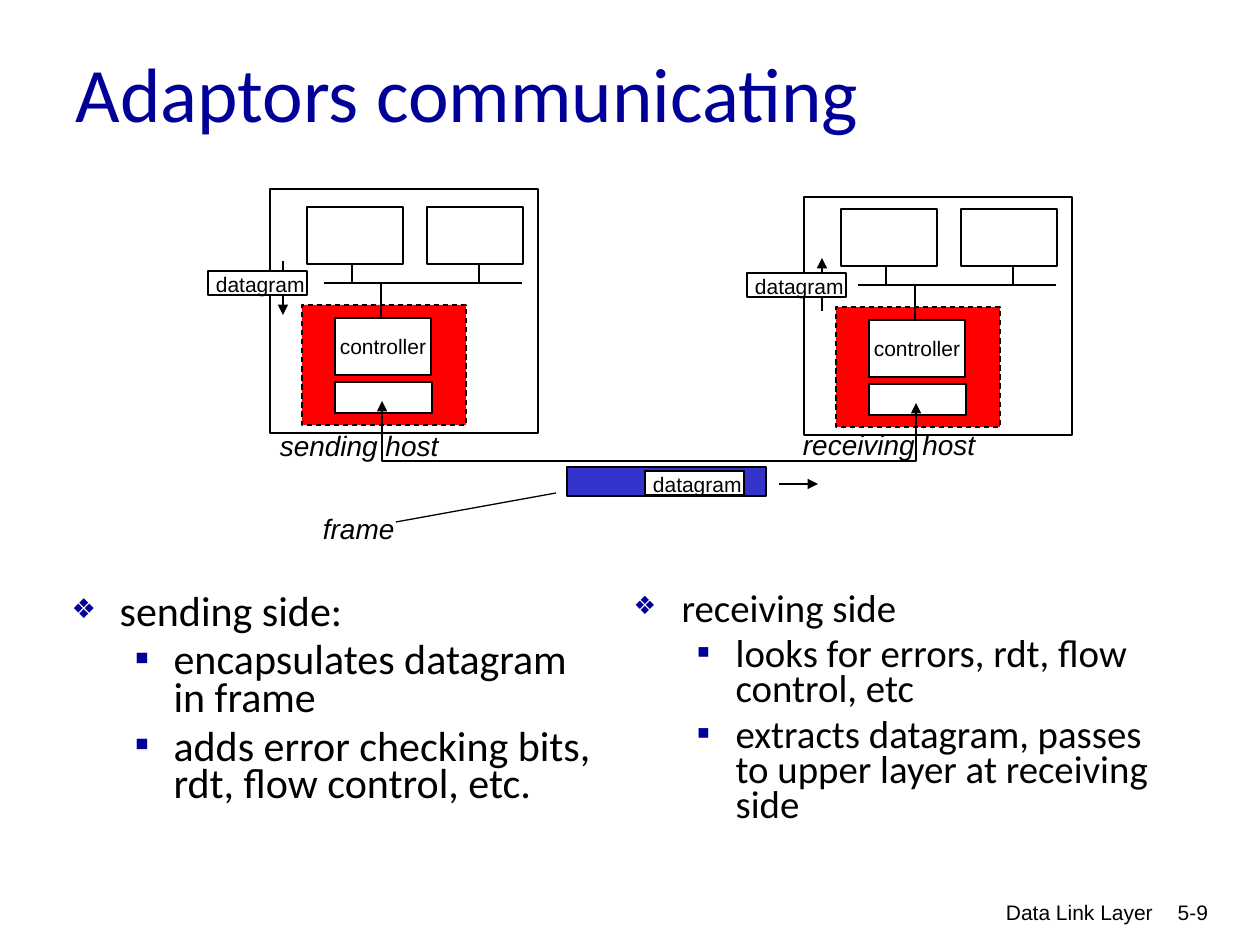
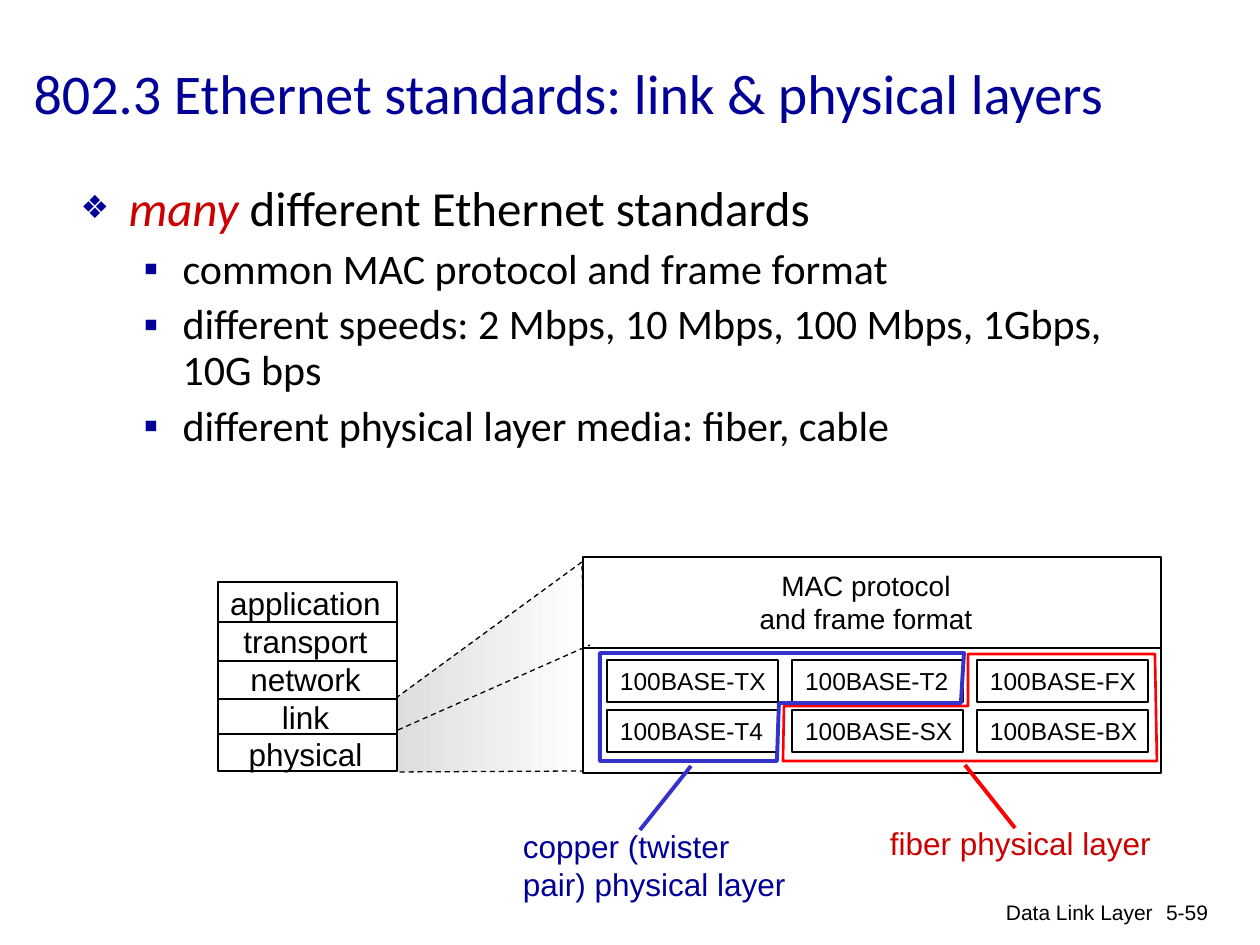
from lxml import etree
from pptx import Presentation
from pptx import util as u
from pptx.dml import color
from pptx.enum import dml, shapes, text
from pptx.oxml import ns

SCALE = u.Inches(1) / 126
BLACK, WHITE, RED, BLUE = "000000", "FFFFFF", "FF0000", "3333CC"
NAVY, CRIMSON = "000099", "CC0000"


def px(length):
    return u.Emu(round(length * SCALE))


def rgb(value):
    return color.RGBColor.from_string(value)


def sub(parent, tag, **attributes):
    return etree.SubElement(parent, ns.qn(tag), attributes)


class Board:
    """Holds the deck, the current slide and the shared style."""

    # level: (left margin, hanging indent, bullet, bullet size)
    LEVELS = [(48, 48, "❖", "65000"), (102, 39, "▪", "100000")]

    def __init__(self):
        self.deck = Presentation()
        self.deck.slide_width, self.deck.slide_height = px(1260), px(945)
        self.slide = None

    def new_slide(self, layout, number, title, place, size):
        self.slide = self.deck.slides.add_slide(self.deck.slide_layouts[layout])
        for words, area in (("Data Link Layer", (767, 893, 399, 63)),
                            (number, (1128, 893, 93, 63))):
            self.label(words, area, 12, align="RIGHT")
        frame = self.placeholder(0, place)
        frame.vertical_anchor = text.MSO_ANCHOR.MIDDLE
        para = frame.paragraphs[0]
        para.text = title
        para.alignment = text.PP_ALIGN.LEFT
        self.style(para.font, size, NAVY, "Calibri")

    def placeholder(self, index, place):
        box = self.slide.placeholders[index]
        box.left, box.top, box.width, box.height = map(px, place)
        box.text_frame.auto_size = text.MSO_AUTO_SIZE.NONE
        box.text_frame.word_wrap = True
        return box.text_frame

    def style(self, font, size, ink=BLACK, name="Arial", italic=False):
        font.size, font.name, font.italic = u.Pt(size), name, italic
        font.color.rgb = rgb(ink)

    def bullets(self, index, place, items, sizes, spacing):
        """Fill a body placeholder with (level, words) items."""
        frame = self.placeholder(index, place)
        for order, (level, words) in enumerate(items):
            para = frame.paragraphs[0] if order == 0 else frame.add_paragraph()
            para.text, para.level = words, level
            para.line_spacing = spacing
            para.space_before = u.Pt(6 if order else 0)
            margin, hang, bullet, share = self.LEVELS[level]
            props = para._p.get_or_add_pPr()
            props.set("marL", str(px(margin)))
            props.set("indent", str(px(-hang)))
            sub(sub(props, "a:buClr"), "a:srgbClr", val=NAVY)
            sub(props, "a:buSzPct", val=share)
            sub(props, "a:buChar", char=bullet)
            self.style(para.font, sizes[level], name="Calibri")
        return frame

    def outline(self, line, ink=BLACK, width=0.75, dash=False, head=False, tail=False):
        line.color.rgb, line.width = rgb(ink), u.Pt(width)
        if dash:
            line.dash_style = dml.MSO_LINE.DASH
        for wanted, tag in ((head, "a:headEnd"), (tail, "a:tailEnd")):
            if wanted:
                sub(line._get_or_add_ln(), tag, type="triangle")

    def label(self, words, place, size, ink=BLACK, align="LEFT", italic=False):
        """Add a text box with side margins only on the aligned side."""
        box = self.slide.shapes.add_textbox(*map(px, place))
        frame = box.text_frame
        frame.word_wrap = True
        frame.margin_left = px(13 if align == "LEFT" else 0)
        frame.margin_right = px(13 if align == "RIGHT" else 0)
        frame.text = words
        for para in frame.paragraphs:
            para.alignment = getattr(text.PP_ALIGN, align)
            self.style(para.font, size, ink, italic=italic)
        return box

    def rect(self, place, fill=WHITE, words="", dash=False):
        box = self.slide.shapes.add_shape(shapes.MSO_SHAPE.RECTANGLE, *map(px, place))
        box.shadow.inherit = False
        box.fill.solid()
        box.fill.fore_color.rgb = rgb(fill)
        self.outline(box.line, dash=dash)
        if words:
            frame = box.text_frame
            frame.text = words
            frame.word_wrap = True
            frame.margin_left = frame.margin_right = 0
            frame.paragraphs[0].alignment = text.PP_ALIGN.CENTER
            self.style(frame.paragraphs[0].font, 12)

    def line(self, x1, y1, x2, y2, **look):
        link = self.slide.shapes.add_connector(
            shapes.MSO_CONNECTOR.STRAIGHT, *map(px, (x1, y1, x2, y2)))
        self.outline(link.line, **look)
        sub(link._element.spPr, "a:effectLst")

    def outline_path(self, points, close=True, gradient=None, **look):
        builder = self.slide.shapes.build_freeform(*points[0], scale=SCALE)
        builder.add_line_segments(points[1:], close=close)
        shape = builder.convert_to_shape()
        shape.shadow.inherit = False
        if gradient:
            shape.fill.gradient()
            shape.fill.gradient_angle = 0
            for stop, ink in zip(shape.fill.gradient_stops, gradient):
                stop.color.rgb = rgb(ink)
        else:
            shape.fill.background()
        self.outline(shape.line, **look)

    def datagram(self, x, y):
        self.rect((x, y, 99, 24))
        self.label("datagram", (x - 5, y - 6, 113, 38), 12)

    def host(self, dx, dy, top):
        """Draw a host moved by (dx, dy) from the sender's place."""
        self.rect((270 + dx, top, 268, 433 + dy - top))
        self.rect((302 + dx, 305 + dy, 164, 120), RED, dash=True)
        self.rect((335 + dx, 382 + dy, 97, 31))
        self.rect((335 + dx, 318 + dy, 96, 57), words="controller")
        bus = 283 + dy
        self.line(324 + dx, bus, 522 + dx, bus)
        self.line(381 + dx, 318 + dy, 381 + dx, bus)
        for left, tap in ((307, 352), (427, 479)):
            self.rect((left + dx, 207 + dy, 96, 57))
            self.line(tap + dx, bus, tap + dx, 264 + dy)


def adaptors(board):
    board.new_slide(3, "5-9", "Adaptors communicating", (63, 13, 1071, 158), 44)
    board.bullets(1, (59, 590, 561, 267), [
        (0, "sending side:"),
        (1, "encapsulates datagram in frame"),
        (1, "adds error checking bits, rdt, flow control, etc."),
    ], (24, 24), 0.75)
    board.bullets(2, (621, 588, 563, 255), [
        (0, "receiving side"),
        (1, "looks for errors, rdt, flow control, etc"),
        (1, "extracts datagram, passes to upper layer at receiving side"),
    ], (22.2, 22.2), 0.75)

    board.rect((567, 467, 199, 29), BLUE)
    board.host(0, 0, 189)
    board.host(534, 2, 197)
    board.line(283, 261, 283, 315, tail=True)
    board.line(822, 258, 822, 311, head=True)
    for words, place in (("sending host", (267, 422, 183, 47)),
                         ("receiving host", (790, 421, 198, 47)),
                         ("frame", (310, 505, 96, 47))):
        board.label(words, place, 16, italic=True)
    board.outline_path([(382, 401), (382, 461), (916, 461), (916, 403)],
                       close=False, head=True, tail=True)
    for corner in ((208, 271), (747, 273), (645, 471)):
        board.datagram(*corner)
    board.line(779, 484, 818, 484, tail=True)
    board.line(396, 522, 556, 493)


def ethernet(board):
    board.new_slide(1, "5-59", "802.3 Ethernet standards: link & physical layers",
                    (21, 13, 1201, 158), 32)
    frame = board.bullets(1, (68, 178, 1071, 290), [
        (0, ""),
        (1, "common MAC protocol and frame format"),
        (1, "different speeds: 2 Mbps, 10 Mbps, 100 Mbps, 1Gbps, 10G bps"),
        (1, "different physical layer media: fiber, cable"),
    ], (28, 24), 0.9)
    lead = frame.paragraphs[0]
    span = lead.add_run()
    span.text, span.font.italic = "many ", True
    span.font.color.rgb = rgb(CRIMSON)
    lead.add_run().text = "different Ethernet standards"

    board.outline_path([(582, 562), (396, 698), (397, 772), (588, 771)],
                       gradient=("DDDDDD", WHITE), dash=True)
    board.rect((218, 582, 179, 189))
    board.label("application\ntransport\nnetwork\nlink\nphysical",
                (218, 578, 175, 202), 18, align="CENTER")
    for y in (622, 661, 699, 734):
        board.line(218, y, 397, y)
    for x in (218, 397):
        board.line(x, 744, x, 768, dash=True)

    board.rect((583, 557, 578, 216))
    board.line(584, 648, 1161, 648)
    board.label("MAC protocol\nand frame format", (747, 562, 238, 81), 16, align="CENTER")
    board.line(398, 730, 590, 645, dash=True)
    standards = (("TX", "T2", "FX"), ("T4", "SX", "BX"))
    for row, names in enumerate(standards):
        for column, name in enumerate(names):
            cell = board.label(f"100BASE-{name}",
                               (607 + 185 * column, 660 + 50 * row, 171, 42), 14)
            board.outline(cell.line)

    board.outline_path([(968, 654), (968, 706), (784, 706), (783, 761),
                        (1157, 761), (1155, 654)], ink=RED, width=1.5)
    board.line(965, 765, 1015, 828, ink=RED, width=2.25)
    board.label("fiber physical layer", (877, 818, 286, 51), 18, CRIMSON)
    board.outline_path([(964, 653), (961, 703), (779, 703), (777, 761),
                        (600, 761), (600, 653)], ink=BLUE, width=2.25)
    board.line(691, 766, 640, 830, ink=BLUE, width=2.25)
    board.label("copper (twister\npair) physical layer", (510, 821, 287, 88), 18, NAVY)


def main():
    board = Board()
    adaptors(board)
    ethernet(board)
    board.deck.save("out.pptx")


if __name__ == "__main__":
    main()
